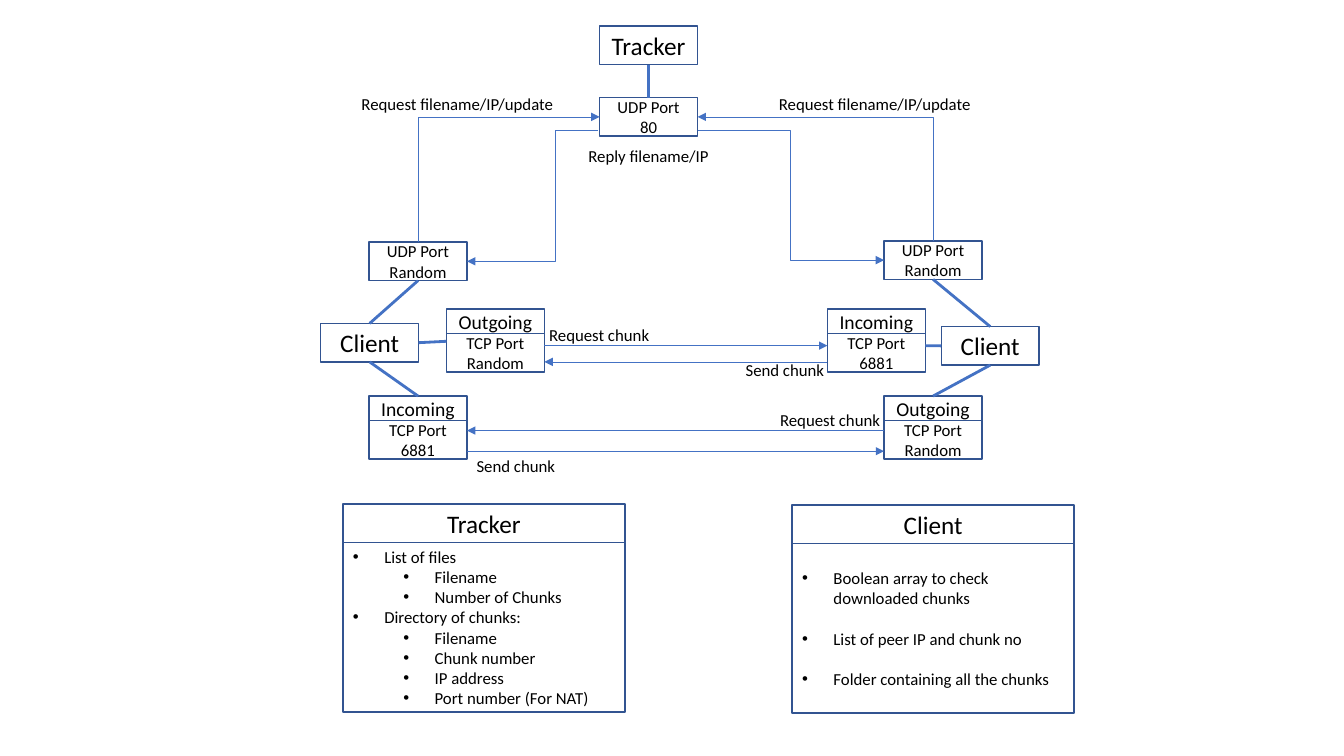
"""Build a slide of a peer-to-peer tracker, its two clients and their ports."""
from dataclasses import dataclass

import pptx
import pptx.dml.color
import pptx.enum.shapes
import pptx.enum.text
import pptx.oxml.ns
import pptx.util
from lxml import etree
from pptx.util import Cm, Pt

SHAPES = pptx.enum.shapes.MSO_SHAPE
JOINTS = pptx.enum.shapes.MSO_CONNECTOR
ALIGN = pptx.enum.text.PP_ALIGN
ANCHOR = pptx.enum.text.MSO_ANCHOR
FIT = pptx.enum.text.MSO_AUTO_SIZE
qn = pptx.oxml.ns.qn

TOP, LEFT, BOTTOM, RIGHT = range(4)
BOX_WIDTH, BOX_HEIGHT, HEADER_HEIGHT = 2.47, 0.97, 0.62
PANEL_WIDTH, LIST_HEIGHT = 7.11, 4.27


@dataclass(frozen=True)
class Theme:
    """Hold the colours, font and type sizes of the slide."""
    font: str = "Calibri"
    text: str = "000000"
    outline: str = "325491"
    link: str = "4472C4"
    name_size: int = 18
    header_size: int = 14
    body_size: int = 12
    outline_width: float = 1
    link_width: float = 2
    arrow_width: float = 0.5


THEME = Theme()


def colour(value):
    """Turn a hex string into a colour."""
    return pptx.dml.color.RGBColor.from_string(value)


def write(para, text, size):
    """Add one formatted run to a paragraph."""
    span = para.add_run()
    span.text = text
    span.font.name = THEME.font
    span.font.size = Pt(size)
    span.font.bold = False
    span.font.color.rgb = colour(THEME.text)


def frame_box(box, left, top, width, height):
    """Place a box and give it a plain outline and middle-anchored text."""
    box.left, box.top, box.width, box.height = Cm(left), Cm(top), Cm(width), Cm(height)
    box.fill.background()
    box.line.color.rgb = colour(THEME.outline)
    box.line.width = Pt(THEME.outline_width)
    frame = box.text_frame
    frame.word_wrap = True
    frame.auto_size = FIT.NONE
    frame.vertical_anchor = ANCHOR.MIDDLE
    return frame


def write_centred(frame, lines, size):
    """Write one centred paragraph per line."""
    for index, text in enumerate(lines):
        para = frame.add_paragraph() if index else frame.paragraphs[0]
        para.alignment = ALIGN.CENTER
        para.space_before = Pt(0)
        write(para, text, size)


def add_box(page, left, top, lines, size, height=BOX_HEIGHT):
    """Add an outlined rectangle with centred lines."""
    box = page.shapes.add_shape(SHAPES.RECTANGLE, 0, 0, 0, 0)
    box.shadow.inherit = False
    write_centred(frame_box(box, left, top, BOX_WIDTH, height), lines, size)
    return box


def add_tcp_port(page, left, top, direction, number):
    """Add a TCP port under its direction header and return the header."""
    header = add_box(page, left, top, [direction], THEME.header_size, HEADER_HEIGHT)
    add_box(page, left, top + HEADER_HEIGHT, ["TCP Port", number], THEME.body_size)
    return header


def add_label(page, left, top, width, text, wrap=False):
    """Add a free text label."""
    box = page.shapes.add_textbox(Cm(left), Cm(top), Cm(width), Cm(0.77))
    box.text_frame.word_wrap = wrap
    box.text_frame.auto_size = FIT.SHAPE_TO_FIT_TEXT
    write(box.text_frame.paragraphs[0], text, THEME.body_size)


def connect(page, start, end, width, arrow=None, preset="line", bend=None):
    """Draw a connector between points in cm or (shape, site) joints."""
    joined = [not isinstance(stop[0], (int, float)) for stop in (start, end)]
    points = [(0, 0) if tied else stop for stop, tied in zip((start, end), joined)]
    kind = JOINTS.STRAIGHT if preset == "line" else JOINTS.ELBOW
    link = page.shapes.add_connector(kind, *(Cm(value) for point in points for value in point))
    if joined[0]:
        link.begin_connect(*start)
    if joined[1]:
        link.end_connect(*end)
    link.line.color.rgb = colour(THEME.link)
    link.line.width = Pt(width)
    if arrow:
        etree.SubElement(link.get_or_add_ln(), qn(f"a:{arrow}"), type="triangle")
    properties = link.element.spPr
    geometry = properties.find(qn("a:prstGeom"))
    geometry.set("prst", preset)
    if bend:
        guides = geometry.find(qn("a:avLst"))
        etree.SubElement(guides, qn("a:gd"), name="adj1", fmla=f"val {bend}")
    etree.SubElement(properties, qn("a:effectLst"))


def fill_panel(heading, body, left, top, title, items, gap=0):
    """Format a heading and a bulleted list of (level, text) as one panel."""
    frame = frame_box(heading, left, top, PANEL_WIDTH, BOX_HEIGHT)
    write_centred(frame, [title], THEME.name_size)
    frame = frame_box(body, left, top + BOX_HEIGHT, PANEL_WIDTH, LIST_HEIGHT)
    for index, (level, text) in enumerate(items):
        para = frame.add_paragraph() if index else frame.paragraphs[0]
        para.level = level
        para.space_before = Pt(gap if index else 0)
        layout = para._p.get_or_add_pPr()
        layout.set("marL", str(Cm(0.79 + 1.27 * level)))
        layout.set("indent", str(-Cm(0.79)))
        etree.SubElement(layout, qn("a:buFont"), typeface="Arial")
        etree.SubElement(layout, qn("a:buChar"), char="•")
        write(para, text, THEME.body_size)


def add_panels(page):
    """Fill the two comparison panels and drop the unused title."""
    title, *parts = page.placeholders
    title.element.getparent().remove(title.element)
    fill_panel(*parts[:2], 8.64, 12.7, "Tracker", [
        (0, "List of files"), (1, "Filename"), (1, "Number of Chunks"),
        (0, "Directory of chunks:"), (1, "Filename"), (1, "Chunk number"),
        (1, "IP address"), (1, "Port number (For NAT)")])
    fill_panel(*parts[2:], 19.96, 12.73, "Client", [
        (0, "Boolean array to check downloaded chunks"),
        (0, "List of peer IP and chunk no"),
        (0, "Folder containing all the chunks")], gap=14.6)


def add_client(page, client_at, udp_at, side, side_end, lower):
    """Add a client with its UDP port, link it to its ports, return the UDP port."""
    client = add_box(page, *client_at, ["Client"], THEME.name_size)
    udp = add_box(page, *udp_at, ["UDP Port", "Random"], THEME.body_size)
    for start, end in ((side, side_end), (TOP, (udp, BOTTOM)), (BOTTOM, (lower, TOP))):
        connect(page, (client, start), end, THEME.link_width)
    return udp


def main():
    """Build and save the slide."""
    deck = pptx.Presentation()
    deck.slide_width, deck.slide_height = Cm(33.87), Cm(19.05)
    page = deck.slides.add_slide(deck.slide_layouts.get_by_name("Comparison"))
    add_panels(page)

    tracker = add_box(page, 15.11, 0.66, ["Tracker"], THEME.name_size)
    hub = add_box(page, 15.11, 2.46, ["UDP Port 80"], THEME.body_size)
    connect(page, (tracker, BOTTOM), (hub, TOP), THEME.link_width)

    add_tcp_port(page, 11.25, 7.79, "Outgoing", "Random")
    add_tcp_port(page, 20.85, 7.79, "Incoming", "6881")
    left_lower = add_tcp_port(page, 9.3, 9.98, "Incoming", "6881")
    right_lower = add_tcp_port(page, 22.28, 9.98, "Outgoing", "Random")
    left_udp = add_client(page, (8.08, 8.15), (9.3, 6.1), RIGHT, (11.25, 8.6), left_lower)
    right_udp = add_client(page, (23.72, 8.23), (22.28, 6.07), LEFT, (23.32, 8.71), right_lower)

    for udp, side, reply_from, bend in ((left_udp, LEFT, 15.06, 32700),
                                        (right_udp, RIGHT, 17.58, 50000)):
        connect(page, (hub, side), (udp, TOP), THEME.arrow_width, "headEnd", "bentConnector2")
        connect(page, (reply_from, 3.28), (udp, RIGHT + LEFT - side), THEME.arrow_width,
                "tailEnd", "bentConnector3", bend)

    for start, end, height in ((13.72, 20.85, 8.71), (20.85, 13.72, 9.12),
                               (22.28, 11.77, 10.85), (11.77, 22.28, 11.37)):
        connect(page, (start, height), (end, height), THEME.arrow_width, "tailEnd")

    for left in (8.86, 19.38):
        add_label(page, left, 2.24, 7.26, "Request filename/IP/update", wrap=True)
    add_label(page, 14.58, 3.56, 3.58, "Reply filename/IP")
    for left, top in ((13.59, 8.05), (19.41, 10.19)):
        add_label(page, left, top, 3.07, "Request chunk")
    for left, top in ((18.54, 8.94), (11.76, 11.35)):
        add_label(page, left, top, 2.51, "Send chunk")

    deck.save("out.pptx")


if __name__ == "__main__":
    main()
